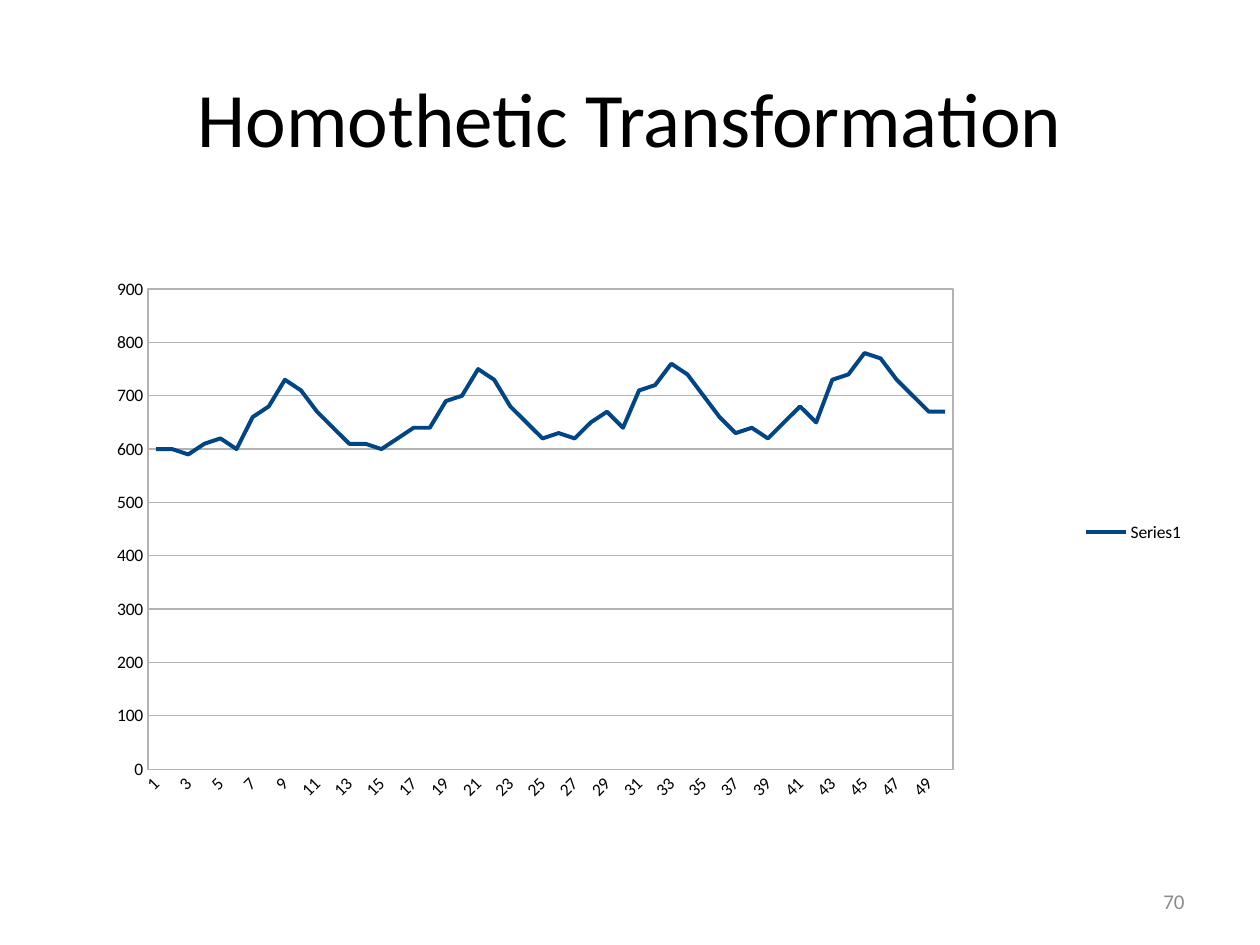
from lxml import etree
from pptx import Presentation
from pptx.chart.data import CategoryChartData
from pptx.dml.color import RGBColor
from pptx.enum.chart import XL_CHART_TYPE, XL_LEGEND_POSITION, XL_TICK_MARK
from pptx.enum.text import MSO_ANCHOR, PP_ALIGN
from pptx.oxml import parse_xml
from pptx.oxml.ns import nsdecls, qn
from pptx.util import Pt

LINE = XL_CHART_TYPE.LINE
LEGEND_RIGHT = XL_LEGEND_POSITION.RIGHT
NO_TICK = XL_TICK_MARK.NONE
MIDDLE = MSO_ANCHOR.MIDDLE
CENTER, RIGHT = PP_ALIGN.CENTER, PP_ALIGN.RIGHT

FONT = "Calibri"
COLORS = {"text": "000000", "number": "8C8C8C", "grid": "B3B3B3", "series": "004586"}
PLOT = {"x": 0.075, "y": 0.11, "w": 0.71, "h": 0.77}
VALUES = [
    600, 600, 590, 610, 620, 600, 660, 680, 730, 710,
    670, 640, 610, 610, 600, 620, 640, 640, 690, 700,
    750, 730, 680, 650, 620, 630, 620, 650, 670, 640,
    710, 720, 760, 740, 700, 660, 630, 640, 620, 650,
    680, 650, 730, 740, 780, 770, 730, 700, 670, 670,
]


def color(name):
    return RGBColor.from_string(COLORS[name])


def set_font(font, size, name):
    font.name = FONT
    font.size = Pt(size)
    font.color.rgb = color(name)


def set_line(line, name, width):
    line.color.rgb = color(name)
    line.width = Pt(width)


def add_text(slide, text, box, size, name, align):
    sp = slide.shapes.add_textbox(*map(Pt, box))
    tf = sp.text_frame
    tf.word_wrap = True
    tf.vertical_anchor = MIDDLE
    tf.text = text
    p = tf.paragraphs[0]
    p.alignment = align
    set_font(p.runs[0].font, size, name)


def style_plot_area(chart):
    """Fix the inner plot position and draw a thin frame around it."""
    area = chart._chartSpace.find(".//" + qn("c:plotArea"))
    for old in area.findall(qn("c:layout")):
        area.remove(old)
    layout = parse_xml(f"<c:layout {nsdecls('c')}><c:manualLayout/></c:layout>")
    settings = [("layoutTarget", "inner"), ("xMode", "edge"), ("yMode", "edge")]
    for tag, val in settings + list(PLOT.items()):
        etree.SubElement(layout[0], qn("c:" + tag)).set("val", str(val))
    area.insert(0, layout)
    area.append(parse_xml(
        f'<c:spPr {nsdecls("c", "a")}><a:noFill/><a:ln w="{Pt(0.75)}"><a:solidFill>'
        f'<a:srgbClr val="{COLORS["grid"]}"/></a:solidFill></a:ln></c:spPr>'))


def style_axes(chart):
    for axis in (chart.category_axis, chart.value_axis):
        axis.major_tick_mark = axis.minor_tick_mark = NO_TICK
        set_line(axis.format.line, "grid", 0.75)
        set_font(axis.tick_labels.font, 10, "text")
    chart.category_axis._element.txPr.bodyPr.set("rot", str(-45 * 60000))
    axis = chart.value_axis
    axis.minimum_scale, axis.maximum_scale, axis.major_unit = 0, 900, 100
    set_line(axis.major_gridlines.format.line, "grid", 0.75)


def add_line_chart(slide, box):
    data = CategoryChartData()
    data.categories = [str(i) for i in range(1, len(VALUES) + 1)]
    data.add_series("Series1", VALUES)
    chart = slide.shapes.add_chart(LINE, *map(Pt, box), data).chart
    set_font(chart.font, 10, "text")
    chart.has_title = False
    chart.has_legend = True
    chart.legend.position = LEGEND_RIGHT
    chart.legend.include_in_layout = False
    set_font(chart.legend.font, 10, "text")
    plot = chart.plots[0]
    plot.vary_by_categories = False
    series = plot.series[0]
    series.smooth = False
    set_line(series.format.line, "series", 2.27)
    style_axes(chart)
    style_plot_area(chart)


def main():
    prs = Presentation()
    prs.slide_width, prs.slide_height = Pt(720), Pt(540)
    slide = prs.slides.add_slide(prs.slide_layouts[6])
    add_text(slide, "Homothetic Transformation", (36, 21.6, 648, 90), 44, "text", CENTER)
    add_text(slide, "70", (516, 500.5, 168, 28.75), 12, "number", RIGHT)
    add_line_chart(slide, (36, 126, 648, 356.4))
    prs.save("out.pptx")


if __name__ == "__main__":
    main()
